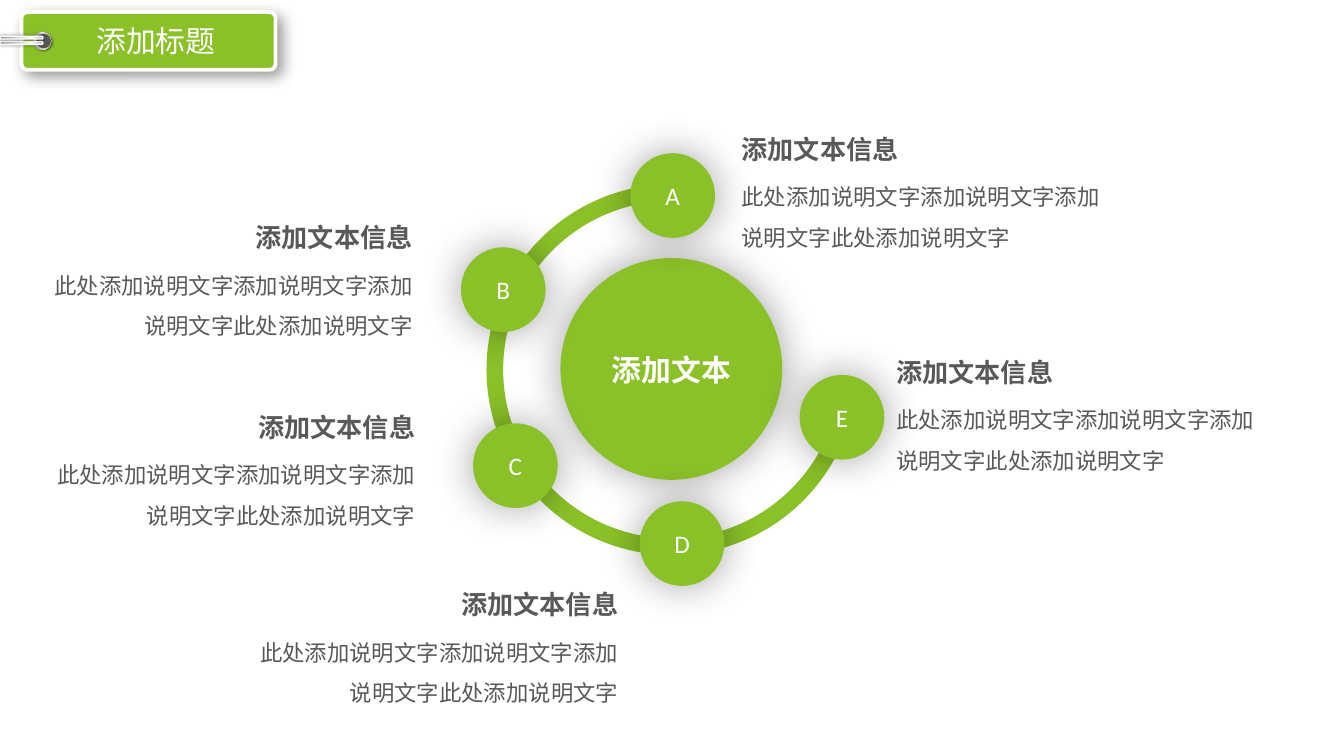
from pptx import Presentation
from pptx.dml.color import RGBColor
from pptx.enum.shapes import MSO_SHAPE as SHAPE
from pptx.enum.text import MSO_ANCHOR as ANCHOR, MSO_AUTO_SIZE as AUTO, PP_ALIGN as ALIGN
from pptx.oxml.ns import qn
from pptx.util import Inches, Pt
from lxml.etree import SubElement

GREEN, WHITE, GRAY = "8AC028", "FFFFFF", "595959"
CJK = "Noto Sans CJK SC"
HEADING = "添加文本信息"
BODY = "此处添加说明文字添加说明文字添加说明文字此处添加说明文字"

RING_STOPS = [(0, WHITE), (17, "A6A6A6"), (35, "F2F2F2"),
              (55, "A6A6A6"), (75, "F2F2F2"), (100, "A6A6A6")]
BAR_STOPS = [(0, "808080"), (23, "A6A6A6"), (52, "D9D9D9"),
             (74, WHITE), (100, "A6A6A6")]
# Shadows: opacity %, blur pt, distance pt, direction in degrees
PLATE_SHADOW = (40, 8, 4, 45)
RING_SHADOW = (40, 1, 1, 45)
BAR_SHADOW = (40, 2, 0, 0)
CIRCLE_SHADOW = (37, 22, 0, 40)

NODE_SIZE = 0.63
# Letter, circle left and top, text left and top, text alignment
NODES = [
    ("E", 5.95, 2.79, 6.57, 2.6, ALIGN.LEFT),
    ("D", 4.76, 3.73, 1.73, 4.33, ALIGN.RIGHT),
    ("C", 3.52, 3.15, 0.22, 3.01, ALIGN.RIGHT),
    ("B", 3.43, 1.84, 0.2, 1.6, ALIGN.RIGHT),
    ("A", 4.69, 1.14, 5.42, 0.94, ALIGN.LEFT),
]


def rgb(color):
    return RGBColor.from_string(color)


def add_shadow(sp, opacity, blur, distance, direction):
    effects = sp.element.spPr.find(qn("a:effectLst"))
    shadow = SubElement(effects, qn("a:outerShdw"), blurRad=str(Pt(blur)),
                        dist=str(Pt(distance)), dir=str(direction * 60000),
                        algn="ctr", rotWithShape="0")
    color = SubElement(shadow, qn("a:srgbClr"), val="000000")
    SubElement(color, qn("a:alpha"), val=str(opacity * 1000))


def fill_gradient(sp, stops, angle):
    sp.fill.gradient()
    grad = sp.element.spPr.find(qn("a:gradFill"))
    stop_list = grad.find(qn("a:gsLst"))
    stop_list.clear()
    for position, color in stops:
        stop = SubElement(stop_list, qn("a:gs"), pos=str(position * 1000))
        SubElement(stop, qn("a:srgbClr"), val=color)
    grad.find(qn("a:lin")).set("ang", str(angle * 60000))


def add_shape(shapes, kind, box, fill=None, line=None, shadow=None,
              adjustments=(), rotation=0):
    """Add a preset shape; line is a (colour, width in points) pair."""
    sp = shapes.add_shape(kind, *map(Inches, box))
    sp.rotation = rotation
    for i, value in enumerate(adjustments):
        sp.adjustments[i] = value
    if fill:
        sp.fill.solid()
        sp.fill.fore_color.rgb = rgb(fill)
    if line:
        sp.line.color.rgb = rgb(line[0])
        sp.line.width = Pt(line[1])
    else:
        sp.line.fill.background()
    sp.shadow.inherit = False
    if shadow:
        add_shadow(sp, *shadow)
    return sp


def format_paragraph(p, size, color, align, font=CJK, bold=False):
    p.alignment = align
    for r in p.runs:
        r.font.size = Pt(size)
        r.font.bold = bold
        r.font.color.rgb = rgb(color)
        r.font.name = font
        SubElement(r.font._element, qn("a:ea"), typeface=font)


def add_textbox(s, box):
    tf = s.shapes.add_textbox(*map(Inches, box)).text_frame
    tf.word_wrap = True
    return tf


def add_title(s, text):
    title = s.shapes.title
    title.left, title.top, title.width, title.height = map(
        Inches, (0.27, 0.12, 1.78, 0.37))
    tf = title.text_frame
    tf.text = text
    tf.auto_size = AUTO.NONE
    tf.vertical_anchor = ANCHOR.TOP
    format_paragraph(tf.paragraphs[0], 16, WHITE, ALIGN.CENTER)
    # Bring the title in front of its plate
    title.element.getparent().append(title.element)


def add_title_tag(s):
    add_shape(s.shapes, SHAPE.ROUNDED_RECTANGLE, (0.16, 0.09, 1.89, 0.43),
              GREEN, (WHITE, 2), PLATE_SHADOW, [0.1])
    eyelet = s.shapes.add_group_shape().shapes
    ring = add_shape(eyelet, SHAPE.OVAL, (0.25, 0.24, 0.13, 0.13),
                     shadow=RING_SHADOW, rotation=270)
    fill_gradient(ring, RING_STOPS, 45)
    add_shape(eyelet, SHAPE.OVAL, (0.27, 0.25, 0.11, 0.11), GRAY, rotation=270)
    wires = s.shapes.add_group_shape().shapes
    for top in (0.16, 0.12):
        bar = add_shape(wires, SHAPE.ROUNDED_RECTANGLE, (0.15, top, 0.02, 0.32),
                        line=(WHITE, 0.75), shadow=BAR_SHADOW,
                        adjustments=[0.5], rotation=270)
        fill_gradient(bar, BAR_STOPS, 90)
    add_title(s, "添加标题")


def add_node(s, letter, left, top):
    sp = add_shape(s.shapes, SHAPE.OVAL, (left, top, NODE_SIZE, NODE_SIZE),
                   GREEN, shadow=CIRCLE_SHADOW)
    tf = sp.text_frame
    tf.text = letter
    tf.vertical_anchor = ANCHOR.MIDDLE
    format_paragraph(tf.paragraphs[0], 13.5, WHITE, ALIGN.CENTER, "Calibri")


def add_description(s, left, top, align):
    tf = add_textbox(s, (left, top, 2.97, 1))
    tf.text = HEADING
    format_paragraph(tf.paragraphs[0], 14, GRAY, align, bold=True)
    p = tf.add_paragraph()
    p.text = BODY
    p.line_spacing = 1.5
    p.space_before = Pt(3)
    format_paragraph(p, 12, GRAY, align)


def main():
    prs = Presentation()
    prs.slide_width = Inches(10)
    prs.slide_height = prs.slide_width * 9 // 16
    s = prs.slides.add_slide(prs.slide_layouts[5])
    add_title_tag(s)
    add_shape(s.shapes, SHAPE.OVAL, (4.17, 1.92, 1.65, 1.65), GREEN,
              shadow=CIRCLE_SHADOW)
    # Angles are given in units of 5/3 degree
    add_shape(s.shapes, SHAPE.BLOCK_ARC, (3.62, 1.37, 2.76, 2.76), GREEN,
              adjustments=[61.49, 214.43, 0.045], rotation=270)
    for letter, left, top, *_ in NODES:
        add_node(s, letter, left, top)
    for *_, left, top, align in reversed(NODES):
        add_description(s, left, top, align)
    tf = add_textbox(s, (4.42, 2.57, 1.15, 0.37))
    tf.text = "添加文本"
    format_paragraph(tf.paragraphs[0], 16, WHITE, ALIGN.CENTER, bold=True)
    prs.save("out.pptx")


if __name__ == "__main__":
    main()
